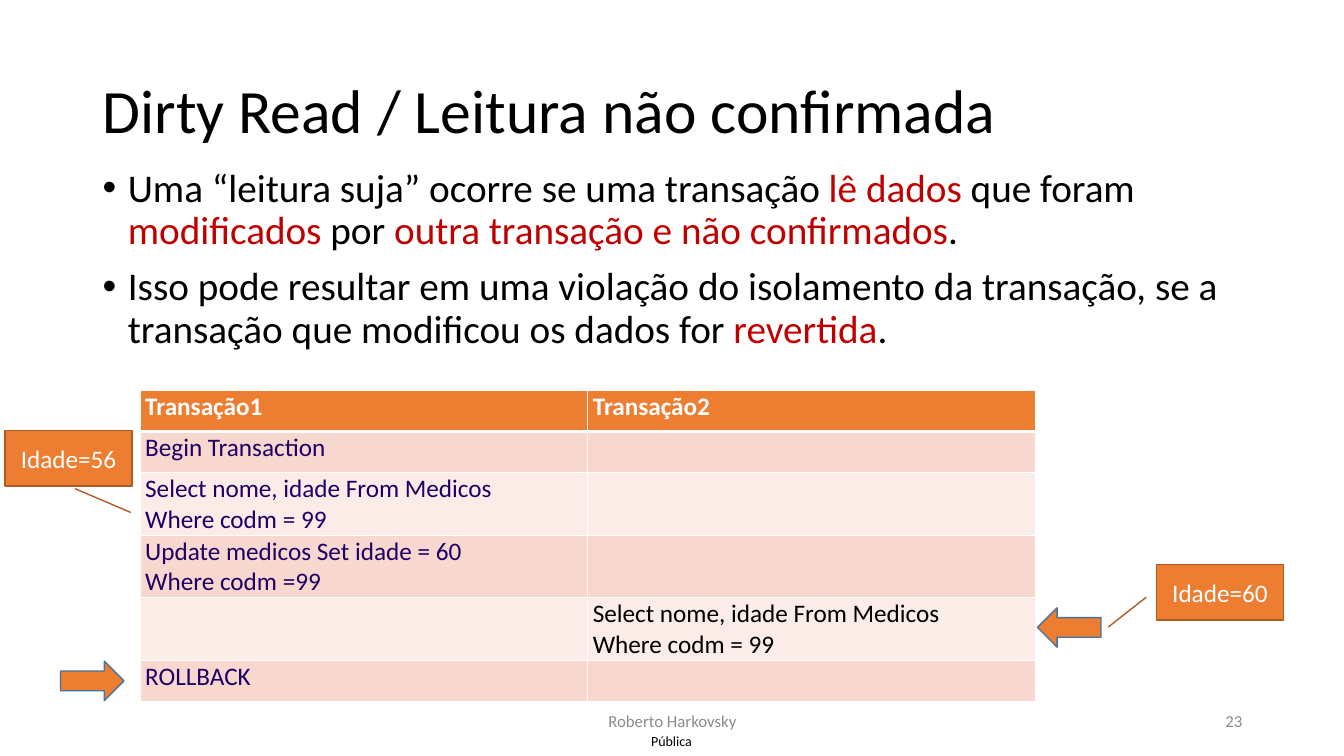
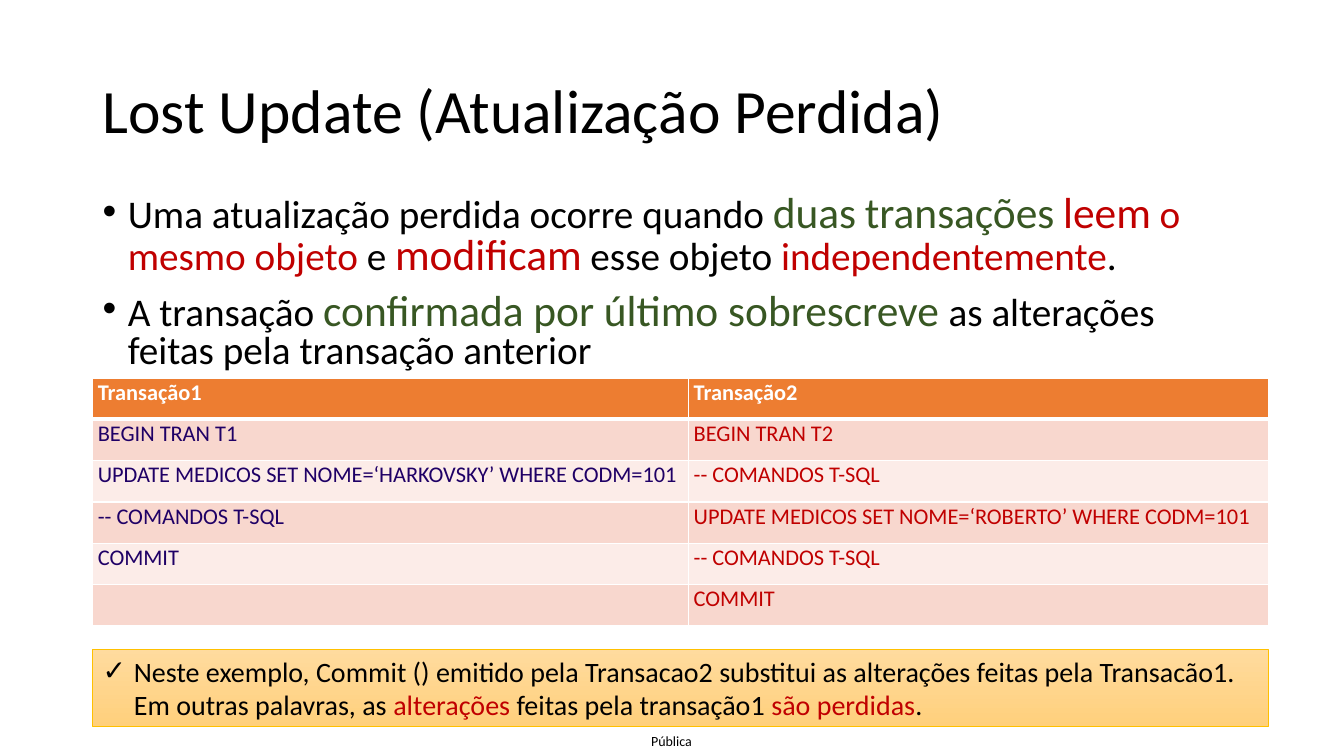
import pptx
import pptx.util
import pptx.dml.color
import pptx.enum.shapes
import pptx.enum.text
import pptx.oxml.ns
from lxml import etree

Inches = pptx.util.Inches
Pt = pptx.util.Pt
SHAPES = pptx.enum.shapes.MSO_SHAPE
ALIGN = pptx.enum.text.PP_ALIGN
ANCHOR = pptx.enum.text.MSO_ANCHOR

FONT = "Calibri"
COLORS = {
    "black": "000000", "white": "FFFFFF", "red": "C00000", "green": "385723",
    "navy": "1F0066", "gray": "8C8C8C", "orange": "ED7D31",
    "callout line": "AF5C24", "arrow line": "43739E",
    "dark band": "F8D7CE", "light band": "FCECE8",
    "note top": "FFDB9E", "note bottom": "FFD07C", "note line": "FFC000",
}

# A run is a plain string, or (text, colour), or (text, colour, size).
SLIDES = [
    {
        "title": "Dirty Read / Leitura não confirmada",
        "footer": ("Roberto Harkovsky", "23"),
        "body": {
            "box": (0.92, 1.62, 11.5, 1.99),
            "line_spacing": 0.9,
            "paragraphs": [
                ["Uma “leitura suja” ocorre se uma transação ", ("lê dados ", "red"),
                 "que foram ", ("modificados", "red"), " por ",
                 ("outra transação e não confirmados", "red"), "."],
                ["Isso pode resultar em uma violação do isolamento da transação, "
                 "se a transação que modificou os dados for ",
                 ("revertida", "red"), "."],
            ],
        },
        "table": {
            "at": (1.39, 3.87), "widths": (4.44, 4.44), "size": 18,
            "colors": ("navy", "black"),
            "rows": [
                ("Transação1", "Transação2"),
                ("Begin Transaction", ""),
                ("Select nome, idade From Medicos\nWhere codm = 99", ""),
                ("Update medicos Set idade = 60\nWhere codm =99", ""),
                ("", "Select nome, idade From Medicos\nWhere codm = 99"),
                ("ROLLBACK", ""),
            ],
        },
        "arrows": [
            (SHAPES.RIGHT_ARROW, (0.6, 6.56, 0.63, 0.39)),
            (SHAPES.LEFT_ARROW, (10.29, 6.03, 0.63, 0.39)),
        ],
        "callouts": [
            ("Idade=60", (11.47, 5.6, 1.26, 0.55), (0.59, -0.08, 1.13, -0.38)),
            ("Idade=56", (0.05, 4.27, 1.26, 0.55), (1.05, 0.55, 1.48, 0.99)),
        ],
    },
    {
        "title": "Lost Update (Atualização Perdida)",
        "body": {
            "box": (0.92, 1.89, 11.5, 1.92),
            "line_spacing": 0.8,
            "paragraphs": [
                ["Uma atualização perdida ocorre quando ", ("duas", "green", 31), " ",
                 ("transações", "green", 31), " ", ("leem", "red", 31),
                 (" o mesmo objeto", "red"), " e ", ("modificam", "red", 31),
                 " esse objeto ", ("independentemente", "red"), "."],
                ["A transação ", ("confirmada por último sobrescreve ", "green", 31),
                 "as alterações feitas pela transação anterior"],
            ],
        },
        "table": {
            "at": (0.92, 3.75), "widths": (5.91, 5.75), "size": 16,
            "colors": ("navy", "red"),
            "rows": [
                ("Transação1", "Transação2"),
                ("BEGIN TRAN T1", "BEGIN TRAN T2"),
                ("UPDATE MEDICOS SET NOME=‘HARKOVSKY’ WHERE CODM=101", "-- COMANDOS T-SQL"),
                ("-- COMANDOS T-SQL", "UPDATE MEDICOS SET NOME=‘ROBERTO’ WHERE CODM=101"),
                ("COMMIT", "-- COMANDOS T-SQL"),
                ("", "COMMIT"),
            ],
        },
        "note": [
            "Neste exemplo, Commit () emitido pela Transacao2 substitui as alterações "
            "feitas pela Transacão1. Em outras palavras, as ",
            ("alterações", "red"), " feitas pela transação1 ",
            ("são perdidas", "red"), ".",
        ],
    },
]


def rgb(name):
    return pptx.dml.color.RGBColor.from_string(COLORS[name])


def lengths(values):
    return [Inches(value) for value in values]


def add_bullet(paragraph, character, indent):
    properties = paragraph._p.get_or_add_pPr()
    properties.set("marL", str(Inches(indent)))
    properties.set("indent", str(-Inches(indent)))
    for tag, attribute, value in (("a:buFont", "typeface", "Arial"),
                                  ("a:buChar", "char", character)):
        child = etree.SubElement(properties, pptx.oxml.ns.qn(tag))
        child.set(attribute, value)


def write(frame, paragraphs, size, color="black", bold=False, bullet=None, **formats):
    """Fill a text frame; formats are attributes of every paragraph."""
    for index, runs in enumerate(paragraphs):
        paragraph = frame.add_paragraph() if index else frame.paragraphs[0]
        for name, value in formats.items():
            setattr(paragraph, name, value)
        if bullet:
            add_bullet(paragraph, *bullet)
        for item in runs:
            text, run_color, run_size = (
                ((item,) if isinstance(item, str) else item) + (None, None))[:3]
            run = paragraph.add_run()
            run.text = text
            run.font.color.rgb = rgb(run_color or color)
            for name, value in {"name": FONT, "size": Pt(run_size or size),
                                "bold": bold}.items():
                setattr(run.font, name, value)


def add_text(slide, box, paragraphs, size, anchor=ANCHOR.MIDDLE, margin=None, **formats):
    frame = slide.shapes.add_textbox(*lengths(box)).text_frame
    frame.word_wrap = True
    frame.vertical_anchor = anchor
    if margin is not None:
        for side in ("left", "top", "right", "bottom"):
            setattr(frame, "margin_" + side, Inches(margin))
    write(frame, paragraphs, size, **formats)


def add_shape(slide, kind, box, line, line_width=1, fill="orange"):
    shape = slide.shapes.add_shape(kind, *lengths(box))
    shape.shadow.inherit = False
    shape.fill.solid()
    shape.fill.fore_color.rgb = rgb(fill)
    shape.line.color.rgb = rgb(line)
    shape.line.width = Pt(line_width)
    return shape


def add_frame(slide, title):
    """Add the parts that every slide shares."""
    add_text(slide, (6.31, 7.21, 0.7, 0.29), [["Pública"]], 10, margin=0,
             alignment=ALIGN.CENTER)
    add_text(slide, (0.92, 0.4, 11.5, 1.45), [[title]], 44, line_spacing=0.9)


def add_footer(slide, author, number):
    for text, left, width, alignment in ((author, 4.42, 4.5, ALIGN.CENTER),
                                         (number, 9.42, 3, ALIGN.RIGHT)):
        add_text(slide, (left, 6.95, width, 0.4), [[text]], 12,
                 color="gray", alignment=alignment)


def set_borders(cell, top, bottom):
    properties = cell._tc.get_or_add_tcPr()
    for side, width in (("L", 1), ("R", 1), ("T", top), ("B", bottom)):
        line = etree.SubElement(properties, pptx.oxml.ns.qn("a:ln" + side))
        line.set("w", str(Pt(width)))
        fill = etree.SubElement(line, pptx.oxml.ns.qn("a:solidFill"))
        color = etree.SubElement(fill, pptx.oxml.ns.qn("a:srgbClr"))
        color.set("val", COLORS["white"])


def add_transactions(slide, at, widths, size, colors, rows):
    row_height = 0.41
    box = (*at, sum(widths), row_height * len(rows))
    table = slide.shapes.add_table(len(rows), len(widths), *lengths(box)).table
    table.horz_banding = False
    for column, width in zip(table.columns, widths):
        column.width = Inches(width)
    for row_index, texts in enumerate(rows):
        table.rows[row_index].height = Inches(row_height)
        header = row_index == 0
        band = "orange" if header else ("light band", "dark band")[row_index % 2]
        for column_index, text in enumerate(texts):
            cell = table.cell(row_index, column_index)
            set_borders(cell, 3 if row_index == 1 else 1, 3 if header else 1)
            cell.fill.solid()
            cell.fill.fore_color.rgb = rgb(band)
            for side, margin in (("left", 0.05), ("right", 0.05),
                                 ("top", 0.01), ("bottom", 0.01)):
                setattr(cell, "margin_" + side, Inches(margin))
            if text:
                write(cell.text_frame, [[line] for line in text.split("\n")], size,
                      color="white" if header else colors[column_index], bold=header)


def add_callout(slide, text, box, pointer):
    shape = add_shape(slide, SHAPES.LINE_CALLOUT_1, box, "callout line")
    for index, value in enumerate(pointer):
        shape.adjustments[index] = value
    shape.text_frame.vertical_anchor = ANCHOR.MIDDLE
    write(shape.text_frame, [[text]], 18, color="white", alignment=ALIGN.CENTER)


def add_note(slide, runs):
    shape = add_shape(slide, SHAPES.RECTANGLE, (0.92, 6.44, 11.66, 0.77), "note line", 0.5)
    shape.fill.gradient()
    shape.fill.gradient_angle = 270
    for stop, name in zip(shape.fill.gradient_stops, ("note top", "note bottom")):
        stop.color.rgb = rgb(name)
    shape.text_frame.word_wrap = True
    shape.text_frame.vertical_anchor = ANCHOR.TOP
    write(shape.text_frame, [runs], 20, bullet=("✓", 0.31), alignment=ALIGN.LEFT)


def main():
    presentation = pptx.Presentation()
    presentation.slide_width, presentation.slide_height = lengths((13.33, 7.5))
    for content in SLIDES:
        slide = presentation.slides.add_slide(presentation.slide_layouts[6])
        add_frame(slide, content["title"])
        body = content["body"]
        add_text(slide, body["box"], body["paragraphs"], 28, anchor=ANCHOR.TOP,
                 bullet=("•", 0.25), line_spacing=body["line_spacing"],
                 space_before=Pt(10))
        if "footer" in content:
            add_footer(slide, *content["footer"])
        add_transactions(slide, **content["table"])
        for kind, box in content.get("arrows", []):
            add_shape(slide, kind, box, "arrow line")
        for callout in content.get("callouts", []):
            add_callout(slide, *callout)
        if "note" in content:
            add_note(slide, content["note"])
    presentation.save("out.pptx")


if __name__ == "__main__":
    main()
